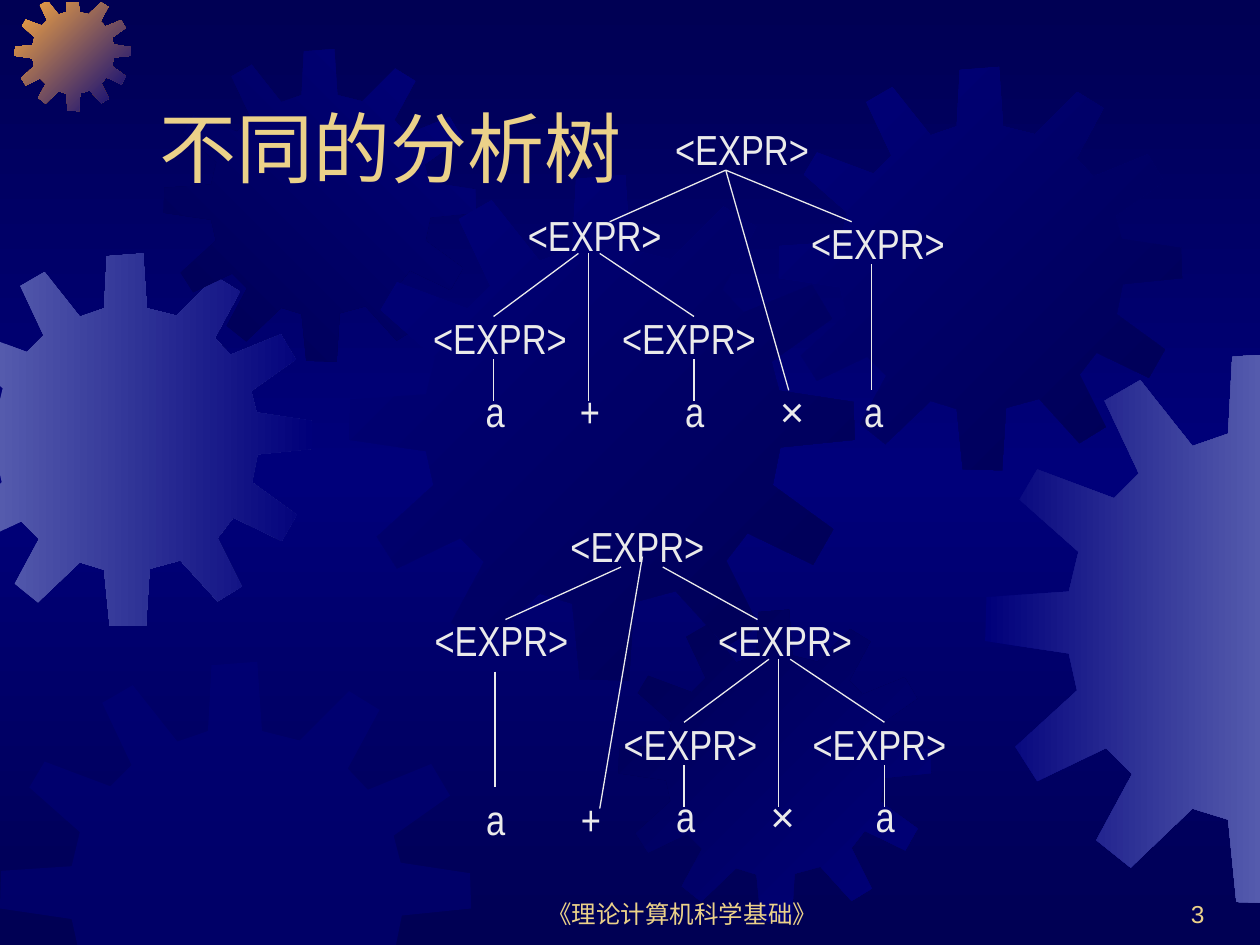
from copy import deepcopy

from lxml import etree
from pptx import Presentation
from pptx.dml.color import RGBColor
from pptx.enum.shapes import MSO_CONNECTOR
from pptx.enum.text import MSO_ANCHOR, MSO_AUTO_SIZE, PP_ALIGN
from pptx.oxml.ns import qn
from pptx.util import Cm, Pt

STRAIGHT = MSO_CONNECTOR.STRAIGHT
TOP, BOTTOM = MSO_ANCHOR.TOP, MSO_ANCHOR.BOTTOM
LEFT, CENTER, RIGHT = PP_ALIGN.LEFT, PP_ALIGN.CENTER, PP_ALIGN.RIGHT
GROW = MSO_AUTO_SIZE.SHAPE_TO_FIT_TEXT

COLORS = {"night": "000054", "navy": "00007A", "steel": "555BAD",
          "orange": "FCAB40", "gold": "EBD189", "light": "EAEAEA"}
EXPR = "<EXPR>"
WIDE, MEDIUM, NARROW, LEAF = 3.81, 3.6, 3.39, 1.69
NODE_HEIGHT = 1.27

# Outline of a twelve-toothed gear on a 401 by 401 grid
GEAR_GRID = 401
GEAR_OUTLINE = [
    (255, 67), (223, 59), (219, 0), (180, 3), (177, 59), (151, 68),
    (113, 20), (87, 35), (112, 88), (94, 106), (38, 85), (25, 107),
    (68, 145), (61, 174), (1, 178), (0, 210), (61, 219), (67, 246),
    (22, 287), (38, 312), (88, 288), (107, 307), (81, 355), (106, 375),
    (151, 332), (177, 340), (183, 400), (222, 401), (226, 339), (259, 330),
    (299, 374), (325, 358), (299, 306), (316, 284), (368, 309), (384, 281),
    (336, 246), (342, 216), (401, 210), (400, 180), (341, 171), (335, 148),
    (383, 114), (367, 87), (313, 109), (296, 91), (323, 41), (297, 25)]

# Slide edges that cut the gears: axis, limit in cm, side that is kept
EDGES = [(0, -0.03, 1), (1, 0.05, 1), (0, 25.43, -1), (1, 19.15, -1)]

# Left, top, size, start colour, end colour, clockwise angle
GEARS = [
    (-1.22, 5.11, 7.52, "steel", "navy", 0),
    (0.3, -0.1, 2.34, "orange", "navy", 45),
    (3.3, 0.99, 6.3, "night", "navy", 315),
    (7.04, 3.53, 10.19, "navy", "night", 45),
    (0, 13.34, 9.5, "navy", None, 0),
    (12.47, 12.29, 6.3, "night", "navy", 45),
    (15.7, 1.35, 8.13, "navy", "night", 45),
    (19.86, 7.11, 11.1, "navy", "steel", 0)]


def rgb(name):
    return RGBColor.from_string(COLORS[name])


def set_gradient(fill, start, end, angle):
    fill.gradient()
    fill.gradient_angle = -angle % 360  # python-pptx counts counter-clockwise
    for stop, color in zip(fill.gradient_stops, (start, end)):
        stop.color.rgb = rgb(color)


def paint_background(slide):
    set_gradient(slide.background.fill, "night", "night", 90)
    stops = next(slide.background._cSld.iter(qn("a:gsLst")))
    middle = deepcopy(stops[0])
    middle.set("pos", "50000")
    middle[0].set("val", COLORS["navy"])
    stops.insert(1, middle)


def clip(points, axis, limit, side):
    """Cut a polygon along one edge of the slide."""
    kept = []
    for start, end in zip(points[-1:] + points[:-1], points):
        start_gap = (start[axis] - limit) * side
        end_gap = (end[axis] - limit) * side
        if start_gap * end_gap < 0:
            share = start_gap / (start_gap - end_gap)
            kept.append(tuple(a + share * (b - a) for a, b in zip(start, end)))
        if end_gap >= 0:
            kept.append(end)
    return kept


def add_gear(slide, left, top, size, start, end, angle):
    unit = size / GEAR_GRID
    points = [(left + x * unit, top + y * unit) for x, y in GEAR_OUTLINE]
    for edge in EDGES:
        points = clip(points, *edge)
    first, *others = [(Cm(x), Cm(y)) for x, y in points]
    builder = slide.shapes.build_freeform(*first)
    builder.add_line_segments(others, close=True)
    gear = builder.convert_to_shape()
    gear.shadow.inherit = False
    gear.line.fill.background()
    if end:
        set_gradient(gear.fill, start, end, angle)
    else:
        gear.fill.solid()
        gear.fill.fore_color.rgb = rgb(start)
        color = next(gear._element.spPr.iter(qn("a:srgbClr")))
        etree.SubElement(color, qn("a:alpha"), val="50000")


def add_text(slide, text, left, top, width, height, size, color="gold",
             font="Arial", align=LEFT, anchor=BOTTOM):
    box = slide.shapes.add_textbox(Cm(left), Cm(top), Cm(width), Cm(height))
    frame = box.text_frame
    frame.word_wrap = True
    frame.vertical_anchor = anchor
    paragraph = frame.paragraphs[0]
    paragraph.alignment = align
    run = paragraph.add_run()
    run.text = text
    for key, value in {"name": font, "size": Pt(size)}.items():
        setattr(run.font, key, value)
    run.font.color.rgb = rgb(color)
    return box


def add_branches(slide, left, top, nodes, edges):
    """Draw nodes (text, x, y, width) and edges (x1, y1, x2, y2) from a corner."""
    for text, x, y, width in nodes:
        font = "Arial" if text == "×" else "Arial Narrow"
        node = add_text(slide, text, left + x, top + y, width, NODE_HEIGHT,
                        24, "light", font, anchor=TOP)
        node.text_frame.auto_size = GROW
    for x1, y1, x2, y2 in edges:
        edge = slide.shapes.add_connector(
            STRAIGHT, Cm(left + x1), Cm(top + y1), Cm(left + x2), Cm(top + y2))
        edge.line.color.rgb = rgb("light")
        edge.line.width = Pt(0.75)
        etree.SubElement(edge._element.spPr, qn("a:effectLst"))


def add_operation(slide, left, top, operator):
    """Draw the subtree of one operator between two operands."""
    leaves = [(text, x, 3.55, LEAF)
              for text, x in zip(("a", operator, "a"), (1.06, 2.96, 5.08))]
    add_branches(
        slide, left, top,
        [(EXPR, 1.91, 0, WIDE), (EXPR, 0, 2.08, MEDIUM),
         (EXPR, 3.81, 2.08, NARROW)] + leaves,
        [(3.18, 1.02, 1.47, 2.29), (1.47, 3.15, 1.47, 3.99),
         (3.38, 3.99, 3.38, 1.02), (3.61, 1.02, 5.51, 2.29),
         (5.51, 3.15, 5.51, 3.99)])


def add_sum_first_tree(slide, left, top):
    add_operation(slide, left, top + 1.73, "+")
    add_branches(
        slide, left, top,
        [(EXPR, 4.88, 0, WIDE), (EXPR, 7.62, 1.91, MEDIUM),
         ("×", 6.99, 5.28, LEAF), ("a", 8.69, 5.28, LEAF)],
        [(6.15, 1.07, 3.81, 2.11), (6.15, 1.07, 8.69, 2.11),
         (6.15, 1.07, 7.42, 5.51), (9.09, 2.97, 9.09, 5.51)])


def add_product_first_tree(slide, left, top):
    add_operation(slide, left + 3.81, top + 1.91, "×")
    add_branches(
        slide, left, top,
        [(EXPR, 2.74, 0, WIDE), (EXPR, 0, 1.91, MEDIUM),
         ("a", 1.04, 5.51, LEAF), ("+", 2.95, 5.51, LEAF)],
        [(3.58, 5.94, 4.44, 0.86), (1.68, 2.13, 4.01, 1.07),
         (4.85, 1.07, 6.76, 2.13), (1.47, 3.18, 1.47, 5.51)])


def main():
    deck = Presentation()
    deck.slide_width, deck.slide_height = Cm(25.4), Cm(19.05)
    slide = deck.slides.add_slide(deck.slide_layouts[6])
    paint_background(slide)
    for gear in GEARS:
        add_gear(slide, *gear)
    add_text(slide, "《理论计算机科学基础》", 9.73, 17.58, 8.05, 1.27, 14, align=CENTER)
    add_text(slide, "3", 19.25, 17.58, 5.28, 1.27, 14, align=RIGHT)
    add_text(slide, "不同的分析树", 2.97, 0.84, 21.59, 3.18, 44)
    add_sum_first_tree(slide, 8.48, 2.36)
    add_product_first_tree(slide, 8.51, 10.36)
    deck.save("out.pptx")


if __name__ == "__main__":
    main()
